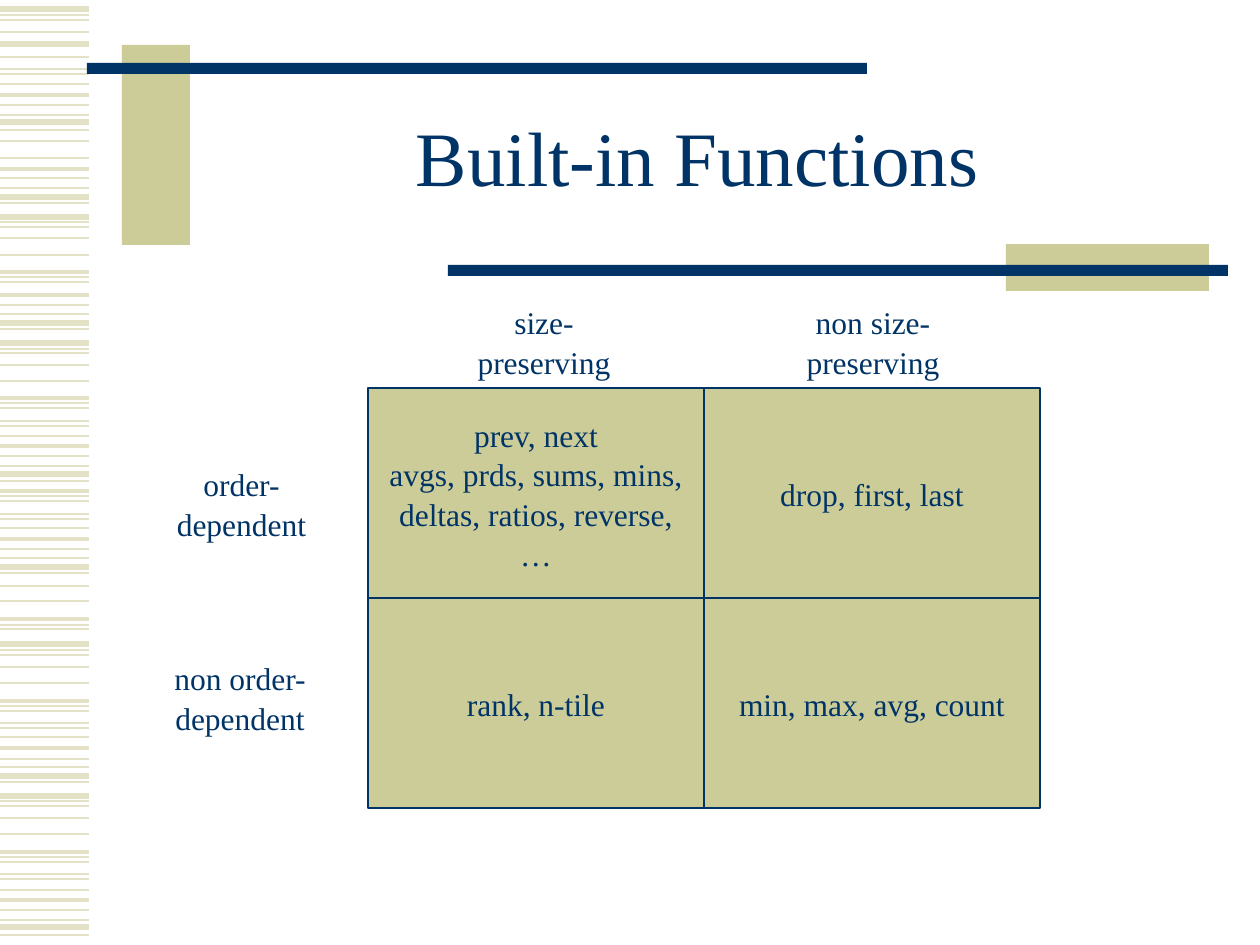
import pptx
import pptx.dml.color
import pptx.enum.shapes
import pptx.enum.text
import pptx.oxml.ns
import pptx.util
from lxml import etree

EMU_PER_PX = 914400 / 126
FONT = "Times New Roman"
NAVY, OLIVE, PALE = "003366", "CCCC99", "E3E2C7"
STRIPE_WIDTH = 89
STRIPES = {
    0.75: [15, 69, 115, 188, 222, 277, 314, 349, 403, 421, 466, 496, 514, 558,
           625, 650, 706, 723, 767, 801, 857, 874, 920],
    1: [20, 32, 84, 141, 158, 227, 238, 255, 353, 365, 381, 436, 528, 586,
        601, 655, 667, 683, 737, 806, 818, 834, 890],
    1.5: [57, 74, 105, 130, 178, 203, 282, 305, 329, 408, 426, 456, 481, 501,
          519, 549, 573, 629, 711, 728, 759, 782, 862, 879, 910, 935],
    2.25: [95, 169, 272, 295, 398, 446, 491, 539, 619, 701, 748, 852, 900],
    3: [9, 44, 122, 197, 217, 323, 343, 474, 567, 644, 776, 796, 927],
}
BARS = [
    (122, 45, 68, 200, OLIVE),
    (87, 63, 780, 11, NAVY),
    (1006, 244, 203, 47, OLIVE),
    (448, 265, 780, 11, NAVY),
]
LABELS = [
    (164, 457, 155, "order-\ndependent"),
    (161, 651, 158, "non order-\ndependent"),
    (465, 295, 158, "size-\npreserving"),
    (794, 295, 158, "non size-\npreserving"),
]
LABEL_HEIGHT = 88
GRID_LEFT, GRID_TOP = 368, 388
CELL_WIDTH, CELL_HEIGHT = 336, 210
CELLS = [
    [["prev, next", "avgs, prds, sums, mins,\ndeltas, ratios, reverse,", "…"],
     ["drop, first, last"]],
    [["rank, n-tile"], ["min, max, avg, count"]],
]


def px(*lengths):
    """Turn lengths in px into EMU."""
    return [pptx.util.Emu(round(length * EMU_PER_PX)) for length in lengths]


def color(value):
    """Turn a hex string into a colour."""
    return pptx.dml.color.RGBColor.from_string(value)


def add_stripe(page, y, weight):
    """Draw one horizontal stripe at the left edge."""
    stripe = page.shapes.add_connector(
        pptx.enum.shapes.MSO_CONNECTOR.STRAIGHT, *px(0, y, STRIPE_WIDTH, y))
    stripe.line.color.rgb = color(PALE)
    stripe.line.width = pptx.util.Pt(weight)
    properties = stripe._element.spPr
    etree.SubElement(properties, pptx.oxml.ns.qn("a:effectLst"))


def add_rectangle(page, left, top, width, height, fill, line=None):
    """Draw a filled rectangle, outlined if a line colour is given."""
    box = page.shapes.add_shape(
        pptx.enum.shapes.MSO_SHAPE.RECTANGLE, *px(left, top, width, height))
    box.shadow.inherit = False
    box.fill.solid()
    box.fill.fore_color.rgb = color(fill)
    if line:
        box.line.color.rgb = color(line)
        box.line.width = pptx.util.Pt(0.75)
    else:
        box.line.fill.background()
    return box


def write_text(box, paragraphs, size=18, spacing=1.05, wrap=False, middle=True):
    """Write centred navy paragraphs, breaking lines at newlines."""
    frame = box.text_frame
    frame.word_wrap = wrap
    anchors = pptx.enum.text.MSO_ANCHOR
    frame.vertical_anchor = anchors.MIDDLE if middle else anchors.TOP
    for index, text in enumerate(paragraphs):
        para = frame.add_paragraph() if index else frame.paragraphs[0]
        para.alignment = pptx.enum.text.PP_ALIGN.CENTER
        para.line_spacing = spacing
        for row, words in enumerate(text.split("\n")):
            if row:
                para.add_line_break()
            span = para.add_run()
            span.text = words
            span.font.name = FONT
            span.font.size = pptx.util.Pt(size)
            span.font.color.rgb = color(NAVY)


def add_title(page, text):
    """Place the slide title."""
    box = page.shapes.add_textbox(*px(189, 84, 1017, 158))
    write_text(box, [text], size=44, spacing=0.85, wrap=True)


def add_label(page, left, top, width, text):
    """Place a row or column label."""
    box = page.shapes.add_textbox(*px(left, top, width, LABEL_HEIGHT))
    write_text(box, [text], middle=False)


def add_cell(page, row, column, paragraphs):
    """Draw one cell of the function grid."""
    box = add_rectangle(
        page, GRID_LEFT + column * CELL_WIDTH, GRID_TOP + row * CELL_HEIGHT,
        CELL_WIDTH, CELL_HEIGHT, OLIVE, NAVY)
    write_text(box, paragraphs)


def main():
    """Build and save the slide."""
    deck = pptx.Presentation()
    deck.slide_width, deck.slide_height = px(1260, 945)
    page = deck.slides.add_slide(deck.slide_layouts[6])
    for weight, heights in STRIPES.items():
        for y in heights:
            add_stripe(page, y, weight)
    for bar in BARS:
        add_rectangle(page, *bar)
    add_title(page, "Built-in Functions")
    for label in LABELS:
        add_label(page, *label)
    for row, cells in enumerate(CELLS):
        for column, paragraphs in enumerate(cells):
            add_cell(page, row, column, paragraphs)
    deck.save("out.pptx")


if __name__ == "__main__":
    main()
